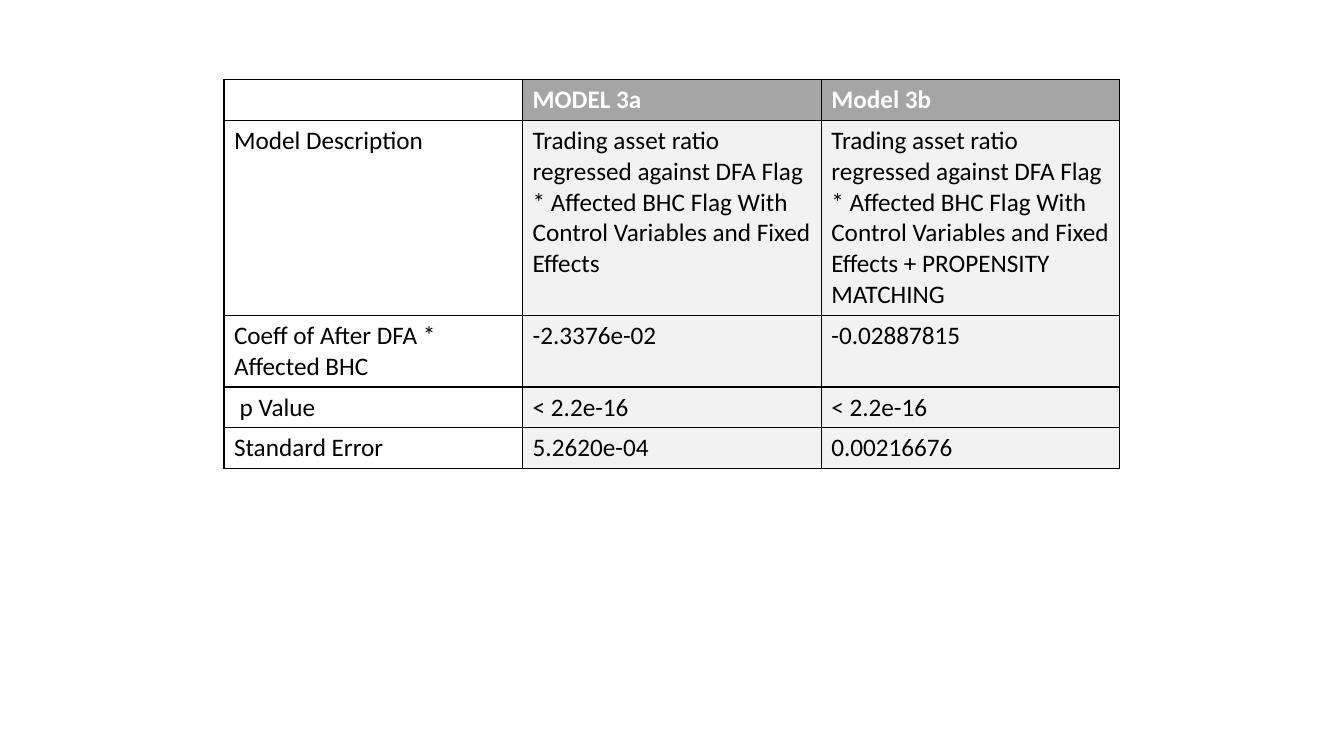
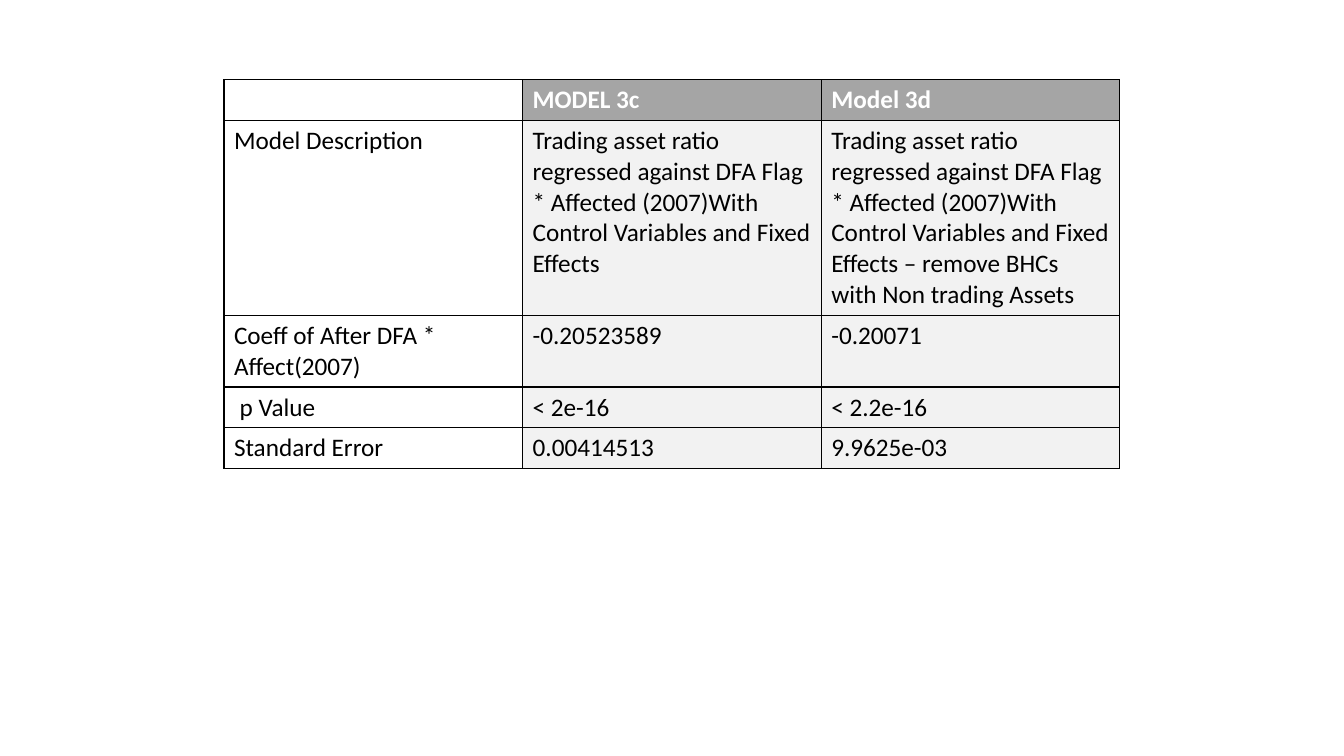
from lxml.etree import SubElement
from pptx import Presentation
from pptx.dml.color import RGBColor
from pptx.oxml.ns import qn
from pptx.util import Pt

FONT = "Calibri"
BLACK, WHITE = "000000", "FFFFFF"
HEADER_GRAY, VALUE_GRAY = "A5A5A5", "F2F2F2"
LEFT, TOP, COLUMN_WIDTH = 160, 57, 213.33
ROW_HEIGHTS = [29.2, 138.5, 51.2, 29.2, 29.2]
DESCRIPTION = "Trading asset ratio regressed against DFA Flag * Affected {}With Control Variables and Fixed Effects"
BHC_FLAG = DESCRIPTION.format("BHC Flag ")
YEAR_2007 = DESCRIPTION.format("(2007)")

MODEL_TABLES = [
    [
        ["", "MODEL 3a", "Model 3b"],
        ["Model Description", BHC_FLAG, BHC_FLAG + " + PROPENSITY MATCHING"],
        ["Coeff of After DFA * Affected BHC", "-2.3376e-02", "-0.02887815"],
        [" p Value", "< 2.2e-16", "< 2.2e-16"],
        ["Standard Error", "5.2620e-04", "0.00216676"],
    ],
    [
        ["", "MODEL 3c", "Model 3d"],
        ["Model Description", YEAR_2007, YEAR_2007 + " – remove BHCs with Non trading Assets"],
        ["Coeff of After DFA * Affect(2007)", "-0.20523589", "-0.20071"],
        [" p Value", "< 2e-16", "< 2.2e-16"],
        ["Standard Error", "0.00414513", "9.9625e-03"],
    ],
]


def rgb(value):
    """Turn a hex string into a colour."""
    return RGBColor.from_string(value)


def write_text(frame, text, size=18, color=BLACK, bold=False):
    """Write one formatted run into a text frame."""
    run = frame.paragraphs[0].add_run()
    run.text = text
    run.font.name = FONT
    run.font.size = Pt(size)
    run.font.bold = bold
    run.font.color.rgb = rgb(color)


def draw_borders(cell, color=BLACK, width=1):
    """Outline all four sides of a cell."""
    properties = cell._tc.get_or_add_tcPr()
    for side in ("a:lnL", "a:lnR", "a:lnT", "a:lnB"):
        border = SubElement(properties, qn(side), w=str(Pt(width)))
        SubElement(SubElement(border, qn("a:solidFill")), qn("a:srgbClr"), val=color)


def fill_cell(cell, text, is_header, is_label):
    """Style a cell by its role in the table and write its text."""
    draw_borders(cell)
    cell.fill.solid()
    cell.fill.fore_color.rgb = rgb(WHITE if is_label else HEADER_GRAY if is_header else VALUE_GRAY)
    if text:
        write_text(cell.text_frame, text, color=WHITE if is_header else BLACK, bold=is_header)


def add_model_table(slide, rows):
    """Add a table that compares two models."""
    column_count = len(rows[0])
    table = slide.shapes.add_table(
        len(rows), column_count, Pt(LEFT), Pt(TOP),
        Pt(COLUMN_WIDTH * column_count), Pt(sum(ROW_HEIGHTS)),
    ).table
    table.first_row = True
    table.horz_banding = False
    for column in table.columns:
        column.width = Pt(COLUMN_WIDTH)
    for row_index, (row, height) in enumerate(zip(rows, ROW_HEIGHTS)):
        table.rows[row_index].height = Pt(height)
        for column_index, text in enumerate(row):
            fill_cell(table.cell(row_index, column_index), text, row_index == 0, column_index == 0)


def main():
    """Build the presentation with one model table per slide."""
    deck = Presentation()
    deck.slide_width, deck.slide_height = Pt(960), Pt(540)
    for rows in MODEL_TABLES:
        add_model_table(deck.slides.add_slide(deck.slide_layouts[6]), rows)
    deck.save("out.pptx")


if __name__ == "__main__":
    main()
